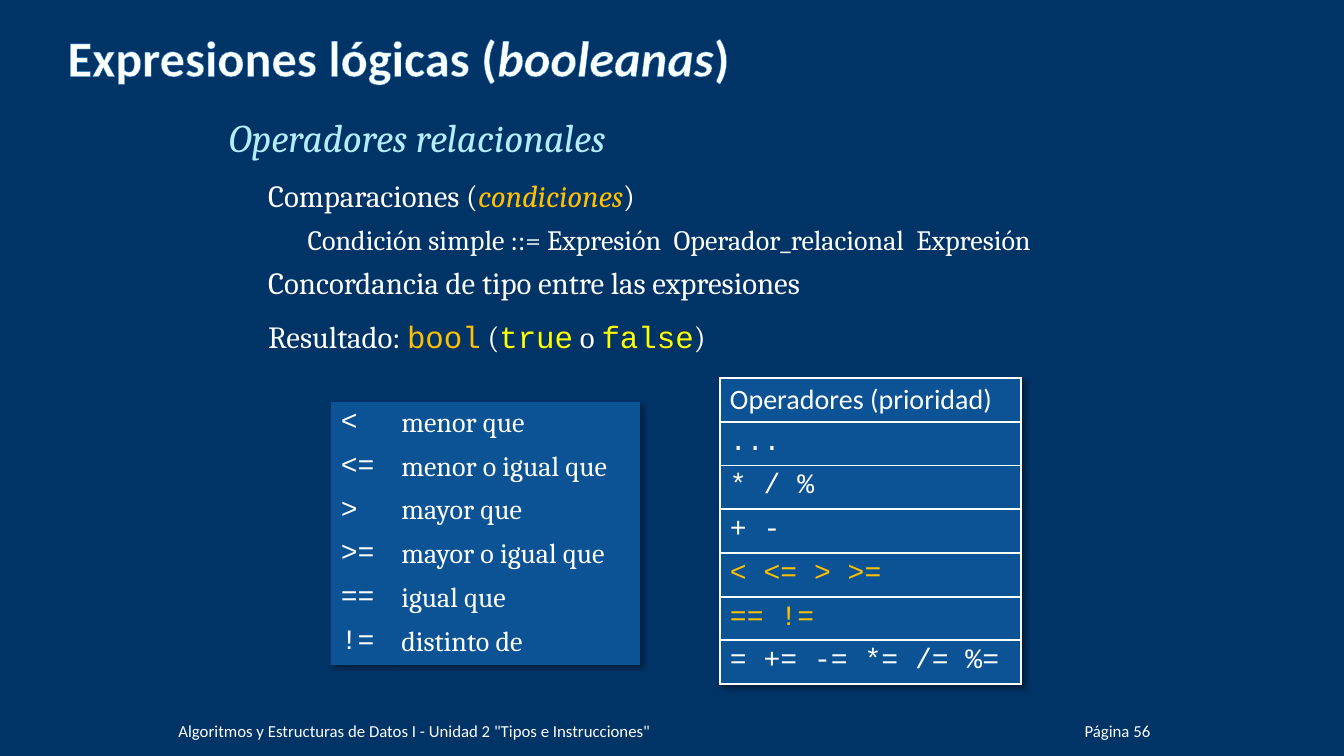
from lxml import etree
from pptx import Presentation
from pptx import util as u
from pptx.dml.color import RGBColor
from pptx.enum import text
from pptx.oxml import parse_xml
from pptx.oxml.ns import nsdecls, qn

NAVY = RGBColor(0x00, 0x33, 0x66)
BLUE = RGBColor(0x0B, 0x53, 0x94)
OUTLINE = RGBColor(0x00, 0x70, 0xC0)
WHITE = RGBColor(0xFF, 0xFF, 0xFF)
CYAN = RGBColor(0xB5, 0xED, 0xFD)
AMBER = RGBColor(0xFF, 0xC0, 0x00)
YELLOW = RGBColor(0xFF, 0xFF, 0x00)
SANS, SERIF, MONO = "Calibri", "Cambria", "Courier New"
NO_STYLE_NO_GRID = "{2D5ABB26-0587-4C30-8999-92F81FD0307C}"
ROW_HEIGHT = 0.32


def add_text(paragraph, words, size=20, font=SERIF, color=WHITE, bold=False, italic=False):
    run = paragraph.add_run()
    run.text = words
    run.font.size = u.Pt(size)
    run.font.name = font
    run.font.color.rgb = color
    run.font.bold = bold
    run.font.italic = italic
    return run


def line_xml(tag, color, width):
    return parse_xml(
        f'<a:{tag} {nsdecls("a")} w="{u.Pt(width)}"><a:solidFill>'
        f'<a:srgbClr val="{color}"/></a:solidFill></a:{tag}>')


def place(shape, left, top, width, height):
    shape.left, shape.top = u.Inches(left), u.Inches(top)
    shape.width, shape.height = u.Inches(width), u.Inches(height)


def fill_title(title, *box):
    place(title, *box)
    frame = title.text_frame
    frame.vertical_anchor = text.MSO_ANCHOR.BOTTOM
    frame.auto_size = text.MSO_AUTO_SIZE.NONE
    frame.margin_left = frame.margin_right = frame.margin_bottom = 0
    paragraph = frame.paragraphs[0]
    paragraph.alignment = text.PP_ALIGN.LEFT
    for words, italic in (("Expresiones lógicas (", False), ("booleanas", True), (")", False)):
        run = add_text(paragraph, words, size=36, font=SANS, bold=True, italic=italic)
        run.font._element.insert(0, line_xml("ln", OUTLINE, 0.75))


def add_body_line(frame, pieces, size=22, level=1, indent=0.39, before=0, after=6):
    """Add an unbulleted line made of (words, format) pieces."""
    first = frame.paragraphs[0]
    paragraph = frame.add_paragraph() if first.runs else first
    paragraph.level = level
    paragraph.space_before, paragraph.space_after = u.Pt(before), u.Pt(after)
    properties = paragraph._p.get_or_add_pPr()
    properties.set("marL", str(u.Inches(indent)))
    properties.set("indent", "0")
    etree.SubElement(properties, qn("a:buNone"))
    for words, style in pieces:
        add_text(paragraph, words, **{"size": size, **style})


def fill_body(body, *box):
    place(body, *box)
    frame = body.text_frame
    frame.auto_size = text.MSO_AUTO_SIZE.NONE
    literal = {"font": MONO, "color": YELLOW}
    add_body_line(frame, [("Operadores relacionales", {"color": CYAN, "italic": True})],
                  size=28, level=0, indent=0, after=12)
    add_body_line(frame, [("Comparaciones (", {}),
                          ("condiciones", {"color": AMBER, "italic": True}), (")", {})])
    add_body_line(frame, [("Condición simple ::= Expresión  Operador_relacional  Expresión", {})],
                  size=20, indent=0.78)
    add_body_line(frame, [("Concordancia de tipo entre las expresiones", {})])
    add_body_line(frame, [("Resultado: ", {}), ("bool", {"font": MONO, "color": AMBER}),
                          (" (", {}), ("true", literal), (" o ", {}),
                          ("false", literal), (")", {})], before=6)


def add_footer(slide, words, alignment, *box):
    shape = slide.shapes.add_textbox(*map(u.Inches, box))
    frame = shape.text_frame
    frame.word_wrap = True
    frame.vertical_anchor = text.MSO_ANCHOR.BOTTOM
    frame.margin_left = frame.margin_right = frame.margin_top = frame.margin_bottom = 0
    frame.paragraphs[0].alignment = alignment
    add_text(frame.paragraphs[0], words, size=12, font=SANS)


def add_plain_table(slide, rows, widths, left, top):
    """Add a shadowed blue table; each cell is a (words, format) pair."""
    table = slide.shapes.add_table(
        len(rows), len(widths), u.Inches(left), u.Inches(top),
        u.Inches(sum(widths)), u.Inches(ROW_HEIGHT * len(rows))).table
    table.first_row = table.horz_banding = False
    properties = table._tbl.tblPr
    properties.find(qn("a:tableStyleId")).text = NO_STYLE_NO_GRID
    properties.insert(0, parse_xml(
        f'<a:effectLst {nsdecls("a")}><a:outerShdw blurRad="50800" dist="38100" dir="2700000">'
        '<a:srgbClr val="000000"><a:alpha val="40000"/></a:srgbClr></a:outerShdw></a:effectLst>'))
    for column, width in zip(table.columns, widths):
        column.width = u.Inches(width)
    for row, contents in zip(table.rows, rows):
        for cell, (words, style) in zip(row.cells, contents):
            cell.fill.solid()
            cell.fill.fore_color.rgb = BLUE
            add_text(cell.text_frame.paragraphs[0], words, **style)
    return table


def add_meanings(slide, left, top):
    meanings = [("<", "menor que"), ("<=", "menor o igual que"), (">", "mayor que"),
                (">=", "mayor o igual que"), ("==", "igual que"), ("!=", "distinto de")]
    rows = [[(operator, {"font": MONO}), (meaning, {})] for operator, meaning in meanings]
    add_plain_table(slide, rows, [0.6, 2.47], left, top)


def add_priorities(slide, left, top):
    """Add the bordered priority list; its second and third rows share one box."""
    lines = [("Operadores (prioridad)", SANS, WHITE), ("...", MONO, WHITE),
             ("* / %", MONO, WHITE), ("+ -", MONO, WHITE), ("< <= > >=", MONO, AMBER),
             ("== !=", MONO, AMBER), ("= += -= *= /= %=", MONO, WHITE)]
    rows = [[(words, {"font": font, "color": color})] for words, font, color in lines]
    table = add_plain_table(slide, rows, [2.99], left, top)
    open_sides = {1: "lnB", 2: "lnT"}
    for index in range(len(rows)):
        sides = [side for side in ("lnL", "lnR", "lnT", "lnB") if side != open_sides.get(index)]
        properties = table.cell(index, 0)._tc.get_or_add_tcPr()
        for position, side in enumerate(sides):
            properties.insert(position, line_xml(side, WHITE, 1.5))


def main():
    presentation = Presentation()
    presentation.slide_width, presentation.slide_height = u.Inches(13.33), u.Inches(7.5)
    slide = presentation.slides.add_slide(presentation.slide_layouts[1])
    slide.background.fill.solid()
    slide.background.fill.fore_color.rgb = NAVY
    fill_title(slide.shapes.title, 0.67, 0.31, 12, 0.55)
    fill_body(slide.placeholders[1], 2.17, 1.07, 9, 5.59)
    add_footer(slide, "Página 56", text.PP_ALIGN.RIGHT, 10.1, 6.95, 1.31, 0.4)
    add_footer(slide, 'Algoritmos y Estructuras de Datos I - Unidad 2 "Tipos e Instrucciones"',
               text.PP_ALIGN.LEFT, 1.77, 6.95, 8.13, 0.4)
    add_meanings(slide, 3.28, 3.99)
    add_priorities(slide, 7.14, 3.75)
    presentation.save("out.pptx")


if __name__ == "__main__":
    main()
